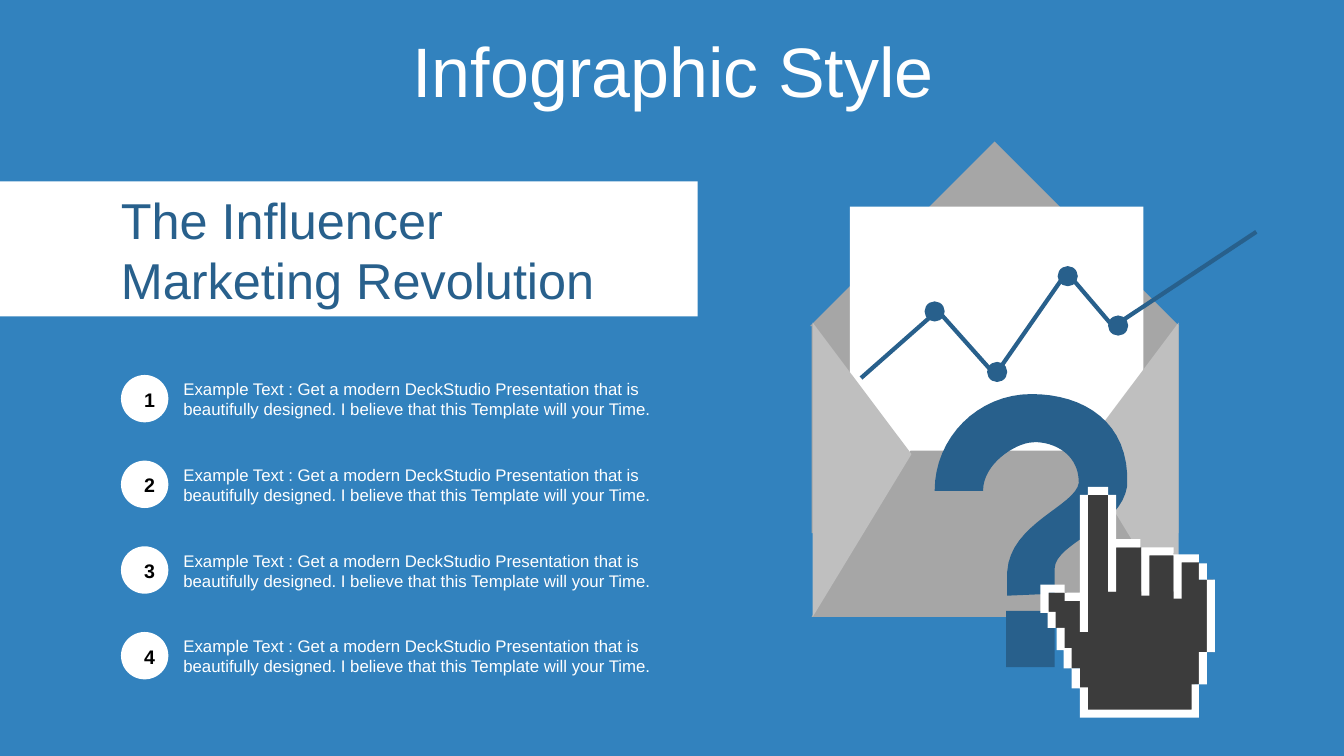
from dataclasses import dataclass

from pptx import Presentation
from pptx.dml.color import RGBColor
from pptx.enum import shapes, text
from pptx.util import Inches, Pt


@dataclass(frozen=True)
class Theme:
    font: str = "Arial"
    background: str = "3282BE"
    white: str = "FFFFFF"
    black: str = "000000"
    navy: str = "28608C"
    envelope: str = "A6A6A6"
    flap: str = "BFBFBF"
    hand: str = "3C3C3C"
    title: int = 50
    heading: int = 36
    number: int = 14
    body: int = 12
    trend_width: int = 3


THEME = Theme()
PRESET = shapes.MSO_SHAPE
EXAMPLE = ("Example Text : Get a modern DeckStudio Presentation that is "
           "beautifully designed. I believe that this Template will your Time.")

TREND = [(8.54, 3.75), (9.3, 3.08), (9.87, 3.72), (10.58, 2.7), (11.04, 3.24), (12.46, 2.3)]
TREND_DOTS = [(9.27, 3.09), (9.89, 3.69), (10.59, 2.74), (11.09, 3.23)]

# Each piece is a list of points: one point draws a line, three draw a Bézier curve.
QUESTION_START = (10.23, 3.91)
QUESTION_PIECES = [
    [(10.74, 3.91), (11.21, 4.18), (11.18, 4.82)],
    [(11.12, 5.24), (10.47, 5.38), (10.46, 5.64)],
    [(10.46, 5.89)],
    [(9.99, 5.91)],
    [(9.99, 5.83), (9.99, 5.75), (9.99, 5.67)],
    [(10.02, 5.19), (10.67, 5.02), (10.7, 4.79)],
    [(10.7, 4.46), (10.38, 4.37), (10.23, 4.39)],
    [(10.07, 4.4), (9.75, 4.6), (9.75, 4.87)],
    [(9.27, 4.87)],
    [(9.27, 4.34), (9.7, 3.91), (10.23, 3.91)],
]

# Pixel outlines: x and y alternate, and every step changes only one of them.
HAND_FILL = [
    [10.79, 4.91, 10.99, 5.87, 11.07, 5.43, 11.32, 5.87, 11.39, 5.49, 11.64, 5.87, 11.65,
     5.57, 11.89, 5.75, 12.03, 6.47, 11.89, 6.79, 11.85, 7.06, 10.76, 6.83, 10.71, 6.63,
     10.61, 6.43, 10.51, 6.23, 10.43, 6.08, 10.33, 5.88, 10.58, 5.9, 10.68, 5.91, 10.76,
     5.87, 10.79],
]
HAND_EDGE = [
    [11.89, 6.47, 11.97, 6.79, 11.89, 7.12, 10.71, 6.82, 10.79, 7.04, 11.82, 6.79, 11.89],
    [10.48, 6.23, 10.56, 6.43, 10.63, 6.63, 10.71, 6.83, 10.63, 6.63, 10.55, 6.45, 10.48],
    [11.97, 5.75, 12.05, 6.47, 11.97],
    [11.89, 5.59, 11.97, 5.75, 11.89],
    [11.32, 5.43, 11.64, 5.5, 11.89, 5.58, 11.72, 5.94, 11.64, 5.51, 11.4, 5.91, 11.32],
    [10.99, 4.91, 11.07, 5.35, 11.31, 5.43, 11.07, 5.87, 10.99],
    [10.71, 4.91, 10.79, 6.27, 10.71, 5.96, 10.56, 5.88, 10.4, 6.07, 10.47, 6.23, 10.39,
     6.08, 10.32, 5.8, 10.56, 5.88, 10.71],
    [10.79, 4.83, 10.99, 4.91, 10.79],
]


def rgb(color):
    return RGBColor.from_string(color)


def paint(shape, color):
    shape.shadow.inherit = False
    shape.fill.solid()
    shape.fill.fore_color.rgb = rgb(color)
    shape.line.fill.background()


def add_preset(slide, preset, box, color, rotation=0, adjustment=None):
    shape = slide.shapes.add_shape(preset, *map(Inches, box))
    shape.rotation = rotation
    if adjustment is not None:
        shape.adjustments[0] = adjustment
    paint(shape, color)


def add_text(slide, box, words, size, color, margins=(0.1, 0.05), bold=False,
             centered=False, line_spacing=None):
    """Add a wrapped, vertically centred text box; margins are (sides, top and bottom)."""
    frame = slide.shapes.add_textbox(*map(Inches, box)).text_frame
    frame.word_wrap = True
    frame.auto_size = text.MSO_AUTO_SIZE.SHAPE_TO_FIT_TEXT
    frame.vertical_anchor = text.MSO_ANCHOR.MIDDLE
    frame.margin_left = frame.margin_right = Inches(margins[0])
    frame.margin_top = frame.margin_bottom = Inches(margins[1])
    frame.text = words
    paragraph = frame.paragraphs[0]
    paragraph.alignment = text.PP_ALIGN.CENTER if centered else text.PP_ALIGN.LEFT
    if line_spacing:
        paragraph.line_spacing = line_spacing
    font = paragraph.runs[0].font
    font.name, font.size, font.bold = THEME.font, Pt(size), bold
    font.color.rgb = rgb(color)


def add_outline(slide, contours, close=True):
    """Build one freeform from contours given as lists of points in inches."""
    contours = [[(Inches(x), Inches(y)) for x, y in contour] for contour in contours]
    builder = slide.shapes.build_freeform(*contours[0][0])
    for index, contour in enumerate(contours):
        if index:
            builder.move_to(*contour[0])
        builder.add_line_segments(contour[1:], close=close)
    return builder.convert_to_shape()


def pixel_contour(values):
    return [(a, b) if index % 2 == 0 else (b, a)
            for index, (a, b) in enumerate(zip(values, values[1:]))]


def curve_points(start, pieces, steps=16):
    """Turn lines and cubic Bézier curves into a list of points."""
    points = [start]
    for piece in pieces:
        if len(piece) == 1:
            points += piece
            continue
        controls = [points[-1], *piece]
        for step in range(1, steps + 1):
            t = step / steps
            weights = ((1 - t) ** 3, 3 * t * (1 - t) ** 2, 3 * t * t * (1 - t), t ** 3)
            points.append(tuple(sum(weight * point[axis]
                                    for weight, point in zip(weights, controls))
                                for axis in (0, 1)))
    return points


def add_envelope(slide):
    add_preset(slide, PRESET.RECTANGLE, (8.05, 3.23, 3.64, 2.06), THEME.envelope)
    add_preset(slide, PRESET.RIGHT_TRIANGLE, (8.57, 1.94, 2.59, 2.59), THEME.envelope, 135)
    add_preset(slide, PRESET.RECTANGLE, (8.43, 2.05, 2.91, 4.01), THEME.white)
    add_preset(slide, PRESET.TRAPEZOID, (8.05, 4.47, 3.66, 1.65), THEME.envelope, 0, 0.595)
    for left, rotation, peak in ((7.09, 90, 0.447), (9.74, 270, 0.553)):
        add_preset(slide, PRESET.ISOSCELES_TRIANGLE, (left, 4.17, 2.92, 0.98),
                   THEME.flap, rotation, peak)


def add_trend(slide):
    line = add_outline(slide, [TREND], close=False)
    line.shadow.inherit = False
    line.fill.background()
    line.line.color.rgb = rgb(THEME.navy)
    line.line.width = Pt(THEME.trend_width)
    for x, y in TREND_DOTS:
        add_preset(slide, PRESET.OVAL, (x - 0.1, y - 0.1, 0.2, 0.2), THEME.navy)


def add_question_mark(slide):
    paint(add_outline(slide, [curve_points(QUESTION_START, QUESTION_PIECES)]), THEME.navy)
    add_preset(slide, PRESET.RECTANGLE, (9.98, 6.06, 0.48, 0.56), THEME.navy)


def add_hand(slide):
    for contours, color in ((HAND_FILL, THEME.hand), (HAND_EDGE, THEME.white)):
        paint(add_outline(slide, [pixel_contour(values) for values in contours]), color)


def add_item(slide, number, top):
    add_preset(slide, PRESET.OVAL, (1.2, top, 0.47, 0.47), THEME.white)
    add_text(slide, (1.72, top - 0.01, 4.89, 0.5), EXAMPLE, THEME.body, THEME.white)
    add_text(slide, (1.33, top + 0.12, 0.22, 0.24), str(number), THEME.number, THEME.black,
             margins=(0.1, 0), bold=True, centered=True)


def main():
    presentation = Presentation()
    presentation.slide_width, presentation.slide_height = Inches(13.33), Inches(7.5)
    slide = presentation.slides.add_slide(presentation.slide_layouts[6])
    slide.background.fill.solid()
    slide.background.fill.fore_color.rgb = rgb(THEME.background)

    add_text(slide, (0.35, 0.37, 12.66, 0.79), "Infographic Style", THEME.title,
             THEME.white, centered=True, line_spacing=0.8)
    add_envelope(slide)
    add_trend(slide)
    add_question_mark(slide)
    add_hand(slide)
    add_preset(slide, PRESET.RECTANGLE, (0, 1.8, 6.92, 1.34), THEME.white)
    for index in range(4):
        add_item(slide, index + 1, 3.72 + 0.85 * index)
    add_text(slide, (1.2, 1.87, 5.26, 1.21), "The Influencer Marketing Revolution",
             THEME.heading, THEME.navy, margins=(0, 0))
    presentation.save("out.pptx")


if __name__ == "__main__":
    main()
